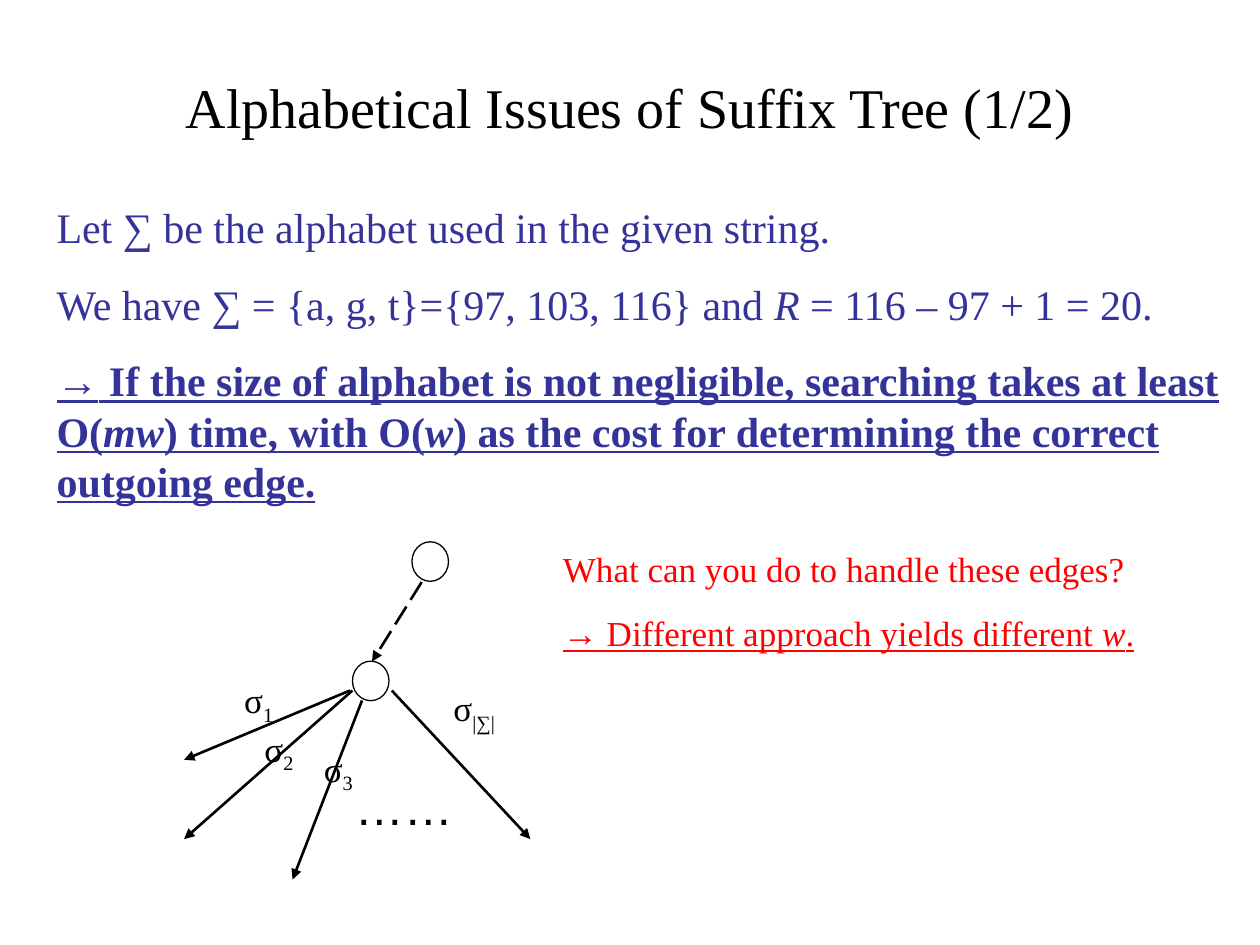
from dataclasses import dataclass

from lxml.etree import SubElement
from pptx import Presentation
from pptx.dml.color import RGBColor as RGB
from pptx.enum.dml import MSO_LINE_DASH_STYLE as DASH
from pptx.enum.shapes import MSO_CONNECTOR as CONN, MSO_SHAPE as SHAPE
from pptx.enum.text import MSO_ANCHOR as ANCHOR, PP_ALIGN as ALIGN
from pptx.oxml.ns import qn
from pptx.util import Pt


@dataclass(frozen=True)
class Theme:
    serif: str = "Times New Roman"
    sans: str = "Arial"
    ink: RGB = RGB(0, 0, 0)
    paper: RGB = RGB(255, 255, 255)
    body: RGB = RGB(0x33, 0x33, 0x99)
    question: RGB = RGB(255, 0, 0)
    title_size: int = 32
    body_size: int = 24
    label_size: int = 20
    dots_size: int = 28
    edge_width: float = 1.5
    node_width: float = 0.75


T = Theme()

# A run is (text, styles): b bold, i italic, u underline, s subscript, a sans.
TITLE = [[("Alphabetical Issues of Suffix Tree (1/2)", "")]]
BODY = [
    [("Let ∑ be the alphabet used in the given string.", "")],
    [("We have ∑ = {a, g, t}={97, 103, 116} and ", ""), ("R", "i"),
     (" = 116 – 97 + 1 = 20.", "")],
    [("→", "bua"),
     (" If the size of alphabet is not negligible, searching takes at least O(", "bu"),
     ("mw", "bui"), (") time, with O(", "bu"), ("w", "bui"),
     (") as the cost for determining the correct outgoing edge.", "bu")],
]
QUESTION = [
    [("What can you do to handle these edges?", "")],
    [("→", "ua"), (" Different approach yields different ", "u"),
     ("w", "ui"), (".", "u")],
]
DOTS = [[("……", "a")]]

# Tree: node corners, edges (x1, y1, x2, y2), edge labels (subscript, x, y, width)
NODE_SIZE = (20.9, 22.6)
NODES = [(235.4, 309.6), (201.4, 377.8)]
PATH_EDGE = (241, 332.6, 212.6, 378)
CHILD_EDGES = [
    (200, 394.6, 105.2, 434.2),
    (201.4, 394.6, 105.2, 479.5),
    (206.9, 400.3, 167.2, 502.6),
    (223.9, 394.6, 303.1, 479.5),
]
EDGE_LABELS = [("1", 132.5, 384, 31), ("2", 144, 412, 31),
               ("3", 178, 423.4, 31), ("|∑|", 252, 389, 38.2)]


def add_text(slide, box, paragraphs, size, color, gap=0, wrap=True,
             align=ALIGN.LEFT, anchor=ANCHOR.TOP):
    """Add a text box; gap is the space between paragraphs in points."""
    tf = slide.shapes.add_textbox(*map(Pt, box)).text_frame
    tf.word_wrap = wrap
    tf.vertical_anchor = anchor
    for n, runs in enumerate(paragraphs):
        p = tf.add_paragraph() if n else tf.paragraphs[0]
        p.alignment = align
        p.space_before = Pt(gap if n else 0)
        for text, styles in runs:
            r = p.add_run()
            r.text = text
            font = r.font
            font.name = T.sans if "a" in styles else T.serif
            font.size = Pt(size)
            font.color.rgb = color
            font.bold = "b" in styles
            font.italic = "i" in styles
            font.underline = "u" in styles
            if "s" in styles:
                font._element.set("baseline", "-25000")


def add_edge(slide, ends, dash=None):
    edge = slide.shapes.add_connector(CONN.STRAIGHT, *map(Pt, ends))
    edge.line.color.rgb = T.ink
    edge.line.width = Pt(T.edge_width)
    if dash:
        edge.line.dash_style = dash
    SubElement(edge.line._get_or_add_ln(), qn("a:tailEnd"), type="triangle")
    SubElement(edge._element.spPr, qn("a:effectLst"))


def add_node(slide, corner):
    sp = slide.shapes.add_shape(SHAPE.OVAL, *map(Pt, corner + NODE_SIZE))
    sp.shadow.inherit = False
    sp.fill.solid()
    sp.fill.fore_color.rgb = T.paper
    sp.line.color.rgb = T.ink
    sp.line.width = Pt(T.node_width)


def main():
    prs = Presentation()
    prs.slide_width, prs.slide_height = Pt(720), Pt(540)
    slide = prs.slides.add_slide(prs.slide_layouts[6])

    add_text(slide, (36, 21.6, 648, 78.5), TITLE, T.title_size, T.ink,
             align=ALIGN.CENTER, anchor=ANCHOR.MIDDLE)
    add_text(slide, (25.2, 111.6, 680.4, 181.4), BODY, T.body_size, T.body, gap=15)

    for ends in CHILD_EDGES:
        add_edge(slide, ends)
    add_edge(slide, PATH_EDGE, DASH.LONG_DASH)
    for corner in NODES:
        add_node(slide, corner)
    for sub, x, y, width in EDGE_LABELS:
        add_text(slide, (x, y, width, 34.6), [[("σ", ""), (sub, "s")]],
                 T.label_size, T.ink, wrap=False)
    add_text(slide, (195.8, 440, 79.2, 41), DOTS, T.dots_size, T.ink)
    add_text(slide, (314.6, 309.6, 351.4, 67.7), QUESTION, T.label_size,
             T.question, gap=12.5)

    prs.save("out.pptx")


if __name__ == "__main__":
    main()
